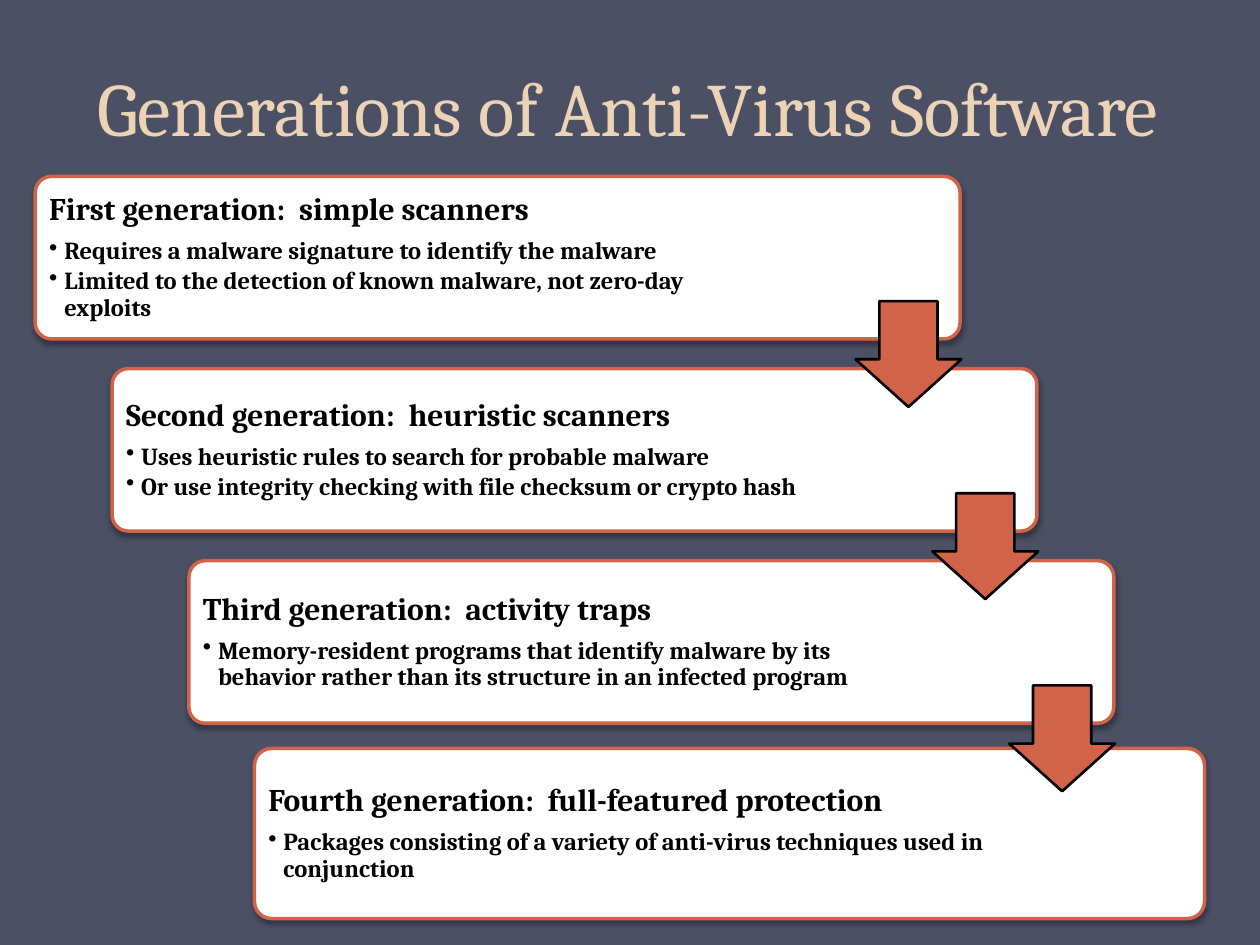
from pptx import Presentation
from pptx.dml.color import RGBColor
from pptx.enum.shapes import MSO_SHAPE as Shape
from pptx.enum.text import MSO_ANCHOR as Anchor, MSO_AUTO_SIZE as AutoSize, PP_ALIGN as Align
from pptx.oxml.ns import qn
from pptx.util import Inches, Pt
from lxml.etree import SubElement

TITLE = "Generations of Anti-Virus Software"
GENERATIONS = [
    ("First generation:  simple scanners",
     ["Requires a malware signature to identify the malware",
      "Limited to the detection of known malware, not zero-day exploits"]),
    ("Second generation:  heuristic scanners",
     ["Uses heuristic rules to search for probable malware",
      "Or use integrity checking with file checksum or crypto hash"]),
    ("Third generation:  activity traps",
     ["Memory-resident programs that identify malware by its behavior "
      "rather than its structure in an infected program"]),
    ("Fourth generation:  full-featured protection",
     ["Packages consisting of a variety of anti-virus techniques used in conjunction"]),
]

FONT = "Cambria"
SLATE = RGBColor(0x4B, 0x50, 0x64)
SAND = RGBColor(0xED, 0xD3, 0xB6)
RUST = RGBColor(0xD1, 0x63, 0x49)
WHITE = RGBColor(0xFF, 0xFF, 0xFF)
BLACK = RGBColor(0, 0, 0)

WIDTH, HEIGHT = 10, 7.5
STEP_X, STEP_Y = 0.61, 1.525
CARD = (0.28, 1.4, 7.34, 1.29)
LAST_CARD = (2.02, 5.94, 7.54, 1.35)
ARROW = (6.79, 2.39, 0.84, 0.84)
PADDING = 0.04
TEXT_SHARE = 0.794


def stepped(box, index):
    left, top, width, height = box
    return left + index * STEP_X, top + index * STEP_Y, width, height


def inches(box):
    return [Inches(value) for value in box]


def write(paragraph, text, size, color=BLACK, bold=False, spacing=0.9, after=0, align=Align.LEFT):
    run = paragraph.add_run()
    run.text = text
    run.font.name = FONT
    run.font.size = Pt(size)
    run.font.bold = bold
    run.font.color.rgb = color
    paragraph.alignment = align
    paragraph.line_spacing = spacing
    paragraph.space_before = Pt(0)
    paragraph.space_after = Pt(after)


def add_bullet(paragraph):
    paragraph.level = 1
    properties = paragraph._p.get_or_add_pPr()
    properties.set("marL", str(Inches(0.12)))
    properties.set("indent", str(-Inches(0.12)))
    SubElement(properties, qn("a:buChar"), char="•")


def add_shape(slide, kind, box, fill, line, line_width, adjustments):
    shape = slide.shapes.add_shape(kind, *inches(box))
    for index, value in enumerate(adjustments):
        shape.adjustments[index] = value
    shape.fill.solid()
    shape.fill.fore_color.rgb = fill
    shape.line.color.rgb = line
    shape.line.width = Pt(line_width)
    shape.shadow.inherit = False
    return shape


def add_shadow(shape):
    effects = shape._element.spPr.find(qn("a:effectLst"))
    shadow = SubElement(effects, qn("a:outerShdw"), blurRad=str(Pt(3.1)), dist=str(Pt(1.8)),
                        dir="5400000", rotWithShape="0")
    color = SubElement(shadow, qn("a:srgbClr"), val=str(BLACK))
    SubElement(color, qn("a:alpha"), val="35000")


def add_card(slide, box, heading, points):
    add_shadow(add_shape(slide, Shape.ROUNDED_RECTANGLE, box, WHITE, RUST, 2, [0.1]))
    left, top, width, height = box
    text_box = (left + PADDING, top + PADDING, width * TEXT_SHARE, height - 2 * PADDING)
    frame = slide.shapes.add_textbox(*inches(text_box)).text_frame
    frame.word_wrap = True
    frame.vertical_anchor = Anchor.MIDDLE
    frame.margin_left = frame.margin_right = Inches(0.07)
    frame.margin_top = frame.margin_bottom = Inches(0.07)
    write(frame.paragraphs[0], heading, 18, bold=True, after=6.3)
    for point in points:
        paragraph = frame.add_paragraph()
        write(paragraph, point, 14, bold=True, after=2.1)
        add_bullet(paragraph)


def add_title(slide):
    title = slide.shapes.title
    title.left, title.top, title.width, title.height = inches((-0.02, 0, WIDTH, HEIGHT / 6))
    frame = title.text_frame
    frame.auto_size = AutoSize.NONE
    frame.word_wrap = True
    frame.vertical_anchor = Anchor.BOTTOM
    write(frame.paragraphs[0], TITLE, 43, SAND, spacing=Pt(58), align=Align.CENTER)


def main():
    presentation = Presentation()
    presentation.slide_width, presentation.slide_height = Inches(WIDTH), Inches(HEIGHT)
    slide = presentation.slides.add_slide(presentation.slide_layouts[5])
    slide.background.fill.solid()
    slide.background.fill.fore_color.rgb = SLATE
    add_title(slide)
    last = len(GENERATIONS) - 1
    for index, (heading, points) in enumerate(GENERATIONS):
        box = LAST_CARD if index == last else stepped(CARD, index)
        add_card(slide, box, heading, points)
    for index in range(last):
        add_shape(slide, Shape.DOWN_ARROW, stepped(ARROW, index), RUST, BLACK, 1.5, [0.55, 0.45])
    presentation.save("out.pptx")


if __name__ == "__main__":
    main()
